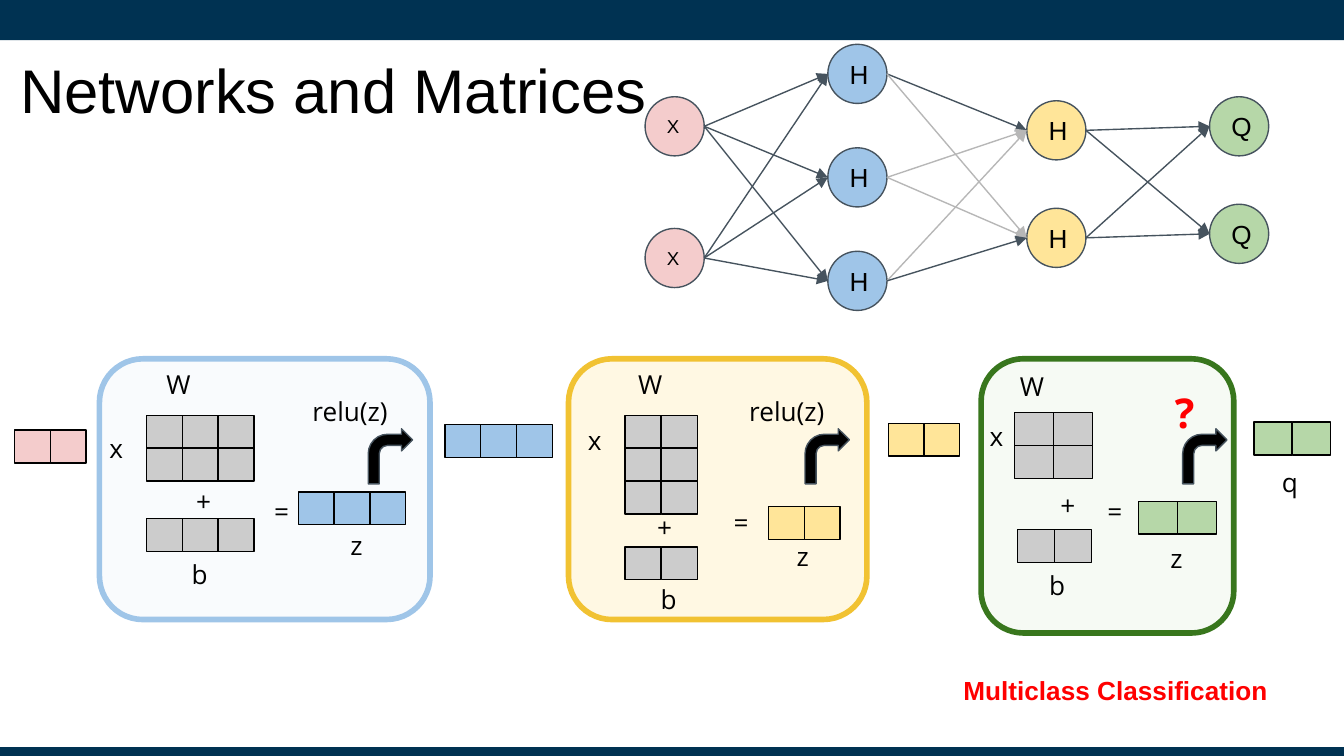
"""Build a slide that shows a small neural network beside its matrix form."""
from itertools import pairwise, product
from typing import NamedTuple

from lxml.etree import SubElement
from pptx import Presentation
from pptx.dml.color import RGBColor
from pptx.enum.shapes import MSO_CONNECTOR, MSO_SHAPE as Preset
from pptx.enum.text import MSO_ANCHOR as Anchor, PP_ALIGN as Align
from pptx.oxml.ns import qn
from pptx.util import Pt

EMU_PER_PX = 9144
CELL_HEIGHT = 24.5
NODE_SIZE = 44
NAVY, BLACK, SLATE, SILVER, RED = "003252", "000000", "46535E", "B7B7B7", "FF0000"
PINK, BLUE, YELLOW, GREEN, GRAY = "F4CCCC", "9FC5E8", "FFE599", "B6D7A8", "CCCCCC"


class Label(NamedTuple):
    text: str
    left: int
    top: int
    width: int = 75
    height: int = 17
    anchor: Anchor = Anchor.MIDDLE
    align: Align = Align.CENTER
    size: int = 14
    font: str = "Open Sans"
    color: str = BLACK
    bold: bool = False
    inset: tuple[int, int] = (10, 10)


class Matrix(NamedTuple):
    left: int
    top: int
    width: int
    rows: int
    columns: int
    fill: str


class Stage(NamedTuple):
    left: int
    width: int
    height: int
    fill: str
    opacity: int
    border: str
    arrow_left: int


class Layer(NamedTuple):
    letter: str
    left: int
    tops: tuple[int, ...]
    fill: str
    size: int = 14


TITLE = Label("Networks and Matrices", 8, 19, 900, 94, align=Align.LEFT, size=33, font="Arial", inset=(7, 4))
STAGES = [
    Stage(74, 246, 194, "CFE2F3", 11, BLUE, 274),
    Stage(423, 222, 194, "FFD966", 18, "F1C232", 599),
    Stage(730, 188, 204, GREEN, 12, "38761D", 880),
]
MATRICES = [
    Matrix(11, 320, 53, 1, 2, PINK),
    Matrix(109, 309, 80, 2, 3, GRAY),
    Matrix(109, 386, 80, 1, 3, GRAY),
    Matrix(222, 366, 80, 1, 3, BLUE),
    Matrix(331, 316, 80, 1, 3, BLUE),
    Matrix(465, 309, 54, 3, 2, GRAY),
    Matrix(465, 407, 54, 1, 2, GRAY),
    Matrix(572, 377, 53, 1, 2, YELLOW),
    Matrix(661, 315, 53, 1, 2, YELLOW),
    Matrix(755, 307, 58, 2, 2, GRAY),
    Matrix(757, 394, 55, 1, 2, GRAY),
    Matrix(847, 373, 58, 1, 2, GREEN),
    Matrix(933, 314, 57, 1, 2, GREEN),
]
NAMES = [("W", 114, 269, 75, 17), ("z", 251, 382, 33, 45), ("W", 465, 269, 75, 17),
         ("z", 583, 390, 33, 45), ("W", 749, 270, 81, 17), ("z", 861, 392, 54, 41),
         ("q", 944, 335, 54, 41)]
SYMBOLS = [("x", 49, 325), ("+", 114, 364), ("=", 172, 372), ("b", 111, 419),
           ("x", 405, 319), ("+", 457, 384), ("=", 514, 380), ("b", 460, 437),
           ("x", 704, 316), ("+", 757, 367), ("=", 792, 372), ("b", 749, 427)]
LABELS = [
    TITLE,
    *(Label(*name, anchor=Anchor.TOP, align=Align.LEFT, inset=(10, 12)) for name in NAMES),
    *(Label(*symbol) for symbol in SYMBOLS),
    *(Label("relu(z)", left, 284, 103, 42, Anchor.TOP) for left in (209, 534)),
    Label("?", 830, 278, 103, 42, Anchor.TOP, size=22, color=RED, bold=True),
    Label("Multiclass Classification", 707, 492, 268, 44, Anchor.TOP, Align.LEFT,
          font="Arial", color=RED, bold=True),
]
LAYERS = [
    Layer("X", 480, (72, 170), PINK, 10),
    Layer("H", 616, (33, 110, 187), BLUE),
    Layer("H", 764, (75, 155), YELLOW),
    Layer("Q", 900, (72, 152), GREEN),
]
MUTED_EDGES = {(33, 155), (110, 75), (110, 155), (187, 75)}


def px(length: float) -> int:
    """Turn a length in px into EMU."""
    return round(length * EMU_PER_PX)


def rgb(code: str) -> RGBColor:
    """Turn a hex string into a colour."""
    return RGBColor.from_string(code)


def draw_shape(slide, preset: Preset, left: float, top: float, width: float, height: float,
               fill: str, border: str | None = None, weight: float = 0.75, opacity: int = 100):
    """Draw a filled preset shape with an optional border."""
    shape = slide.shapes.add_shape(preset, px(left), px(top), px(width), px(height))
    shape.shadow.inherit = False
    shape.fill.solid()
    shape.fill.fore_color.rgb = rgb(fill)
    if opacity < 100:
        color = shape.element.spPr.find(f"{qn('a:solidFill')}/{qn('a:srgbClr')}")
        SubElement(color, qn("a:alpha"), val=str(opacity * 1000))
    if border:
        shape.line.color.rgb = rgb(border)
        shape.line.width = Pt(weight)
    else:
        shape.line.fill.background()
    return shape


def write(shape, label: Label) -> None:
    """Write a label into a shape or text box."""
    frame = shape.text_frame
    frame.word_wrap = True
    frame.vertical_anchor = label.anchor
    frame.margin_left = frame.margin_right = px(label.inset[0])
    frame.margin_top = frame.margin_bottom = px(label.inset[1])
    paragraph = frame.paragraphs[0]
    paragraph.text = label.text
    paragraph.alignment = label.align
    paragraph.font.name = label.font
    paragraph.font.size = Pt(label.size)
    paragraph.font.bold = label.bold
    paragraph.font.color.rgb = rgb(label.color)


def draw_label(slide, label: Label) -> None:
    """Draw a label in a text box of its own."""
    write(slide.shapes.add_textbox(px(label.left), px(label.top), px(label.width), px(label.height)), label)


def draw_matrix(slide, matrix: Matrix) -> None:
    """Draw a matrix as a grid of cells."""
    cell_width = matrix.width / matrix.columns
    for row, column in product(range(matrix.rows), range(matrix.columns)):
        draw_shape(slide, Preset.RECTANGLE, matrix.left + column * cell_width,
                   matrix.top + row * CELL_HEIGHT, cell_width, CELL_HEIGHT, matrix.fill, BLACK)


def draw_stage(slide, stage: Stage) -> None:
    """Draw the frame of a stage and its activation arrow."""
    draw_shape(slide, Preset.ROUNDED_RECTANGLE, stage.left, 267, stage.width, stage.height,
               stage.fill, stage.border, 3, stage.opacity)
    draw_shape(slide, Preset.BENT_ARROW, stage.arrow_left, 319, 33, 41, BLACK, SLATE)


def draw_layer(slide, layer: Layer) -> None:
    """Draw the nodes of one network layer."""
    for top in layer.tops:
        node = draw_shape(slide, Preset.FLOWCHART_CONNECTOR, layer.left, top,
                          NODE_SIZE, NODE_SIZE, layer.fill, SLATE)
        write(node, Label(layer.letter, layer.left, top, align=Align.LEFT, size=layer.size, font="Arial"))


def draw_edges(slide, source: Layer, target: Layer) -> None:
    """Join every node of a layer to every node of the next one."""
    for start, end in product(source.tops, target.tops):
        edge = slide.shapes.add_connector(
            MSO_CONNECTOR.STRAIGHT, px(source.left + NODE_SIZE), px(start + NODE_SIZE / 2),
            px(target.left), px(end + NODE_SIZE / 2))
        edge.line.color.rgb = rgb(SILVER if (start, end) in MUTED_EDGES else SLATE)
        edge.line.width = Pt(0.75)
        SubElement(edge.element.spPr.find(qn("a:ln")), qn("a:tailEnd"), type="triangle")
        SubElement(edge.element.spPr, qn("a:effectLst"))


def main() -> None:
    """Build and save the slide."""
    deck = Presentation()
    deck.slide_width = px(1000)
    deck.slide_height = deck.slide_width * 9 // 16
    slide = deck.slides.add_slide(deck.slide_layouts[6])
    for top, height in ((0, 30), (556, 8)):
        draw_shape(slide, Preset.RECTANGLE, 0, top, 1000, height, NAVY)
    for stage in STAGES:
        draw_stage(slide, stage)
    for matrix in MATRICES:
        draw_matrix(slide, matrix)
    for label in LABELS:
        draw_label(slide, label)
    for layer in LAYERS:
        draw_layer(slide, layer)
    for source, target in pairwise(LAYERS):
        draw_edges(slide, source, target)
    deck.save("out.pptx")


if __name__ == "__main__":
    main()
